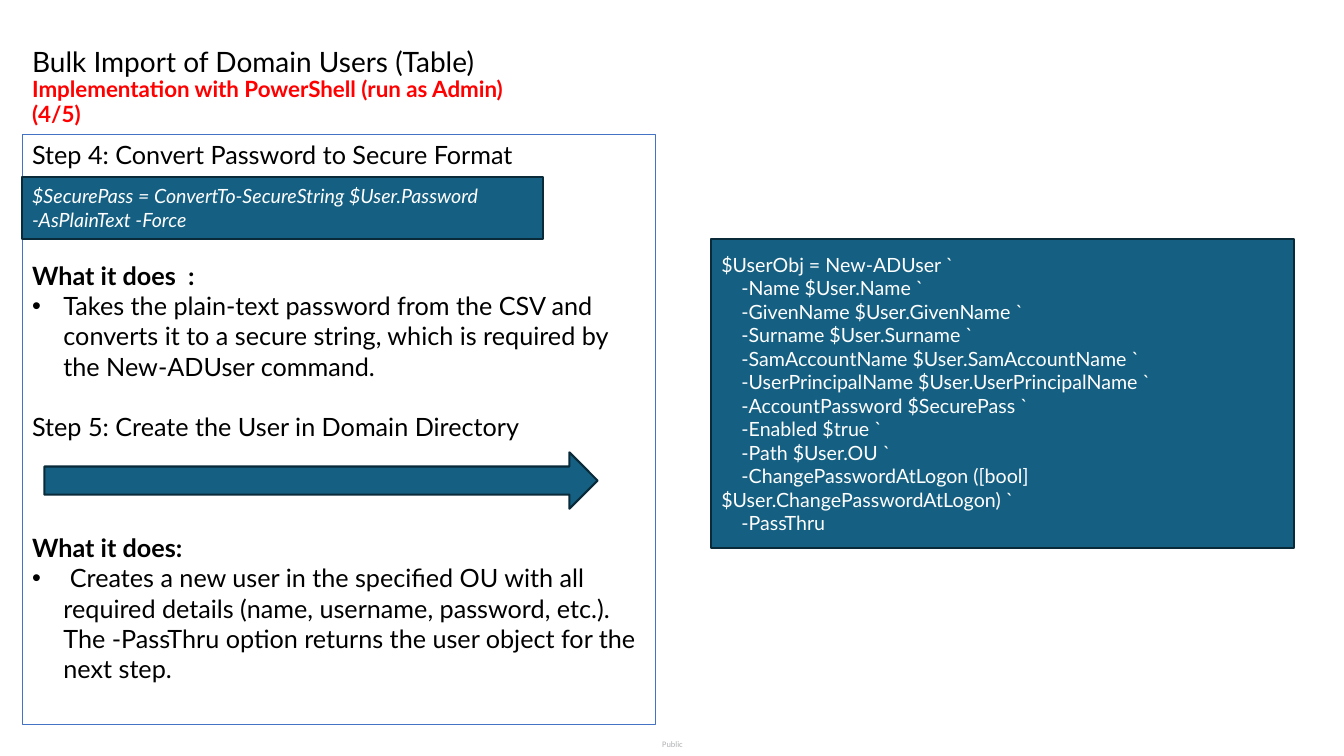
from dataclasses import dataclass

from lxml.etree import SubElement
from pptx import Presentation
from pptx.dml.color import RGBColor
from pptx.enum.shapes import MSO_SHAPE as Preset
from pptx.enum.text import MSO_ANCHOR as Anchor, PP_ALIGN as Align
from pptx.oxml.ns import qn
from pptx.util import Cm, Pt

BLACK, WHITE, RED = "000000", "FFFFFF", "FF0000"
TEAL, DARK_TEAL, BLUE, GREY = "156082", "092A39", "4472C4", "626469"
BODY_LINE = 21.6  # height of one 18 pt text line, in points


@dataclass(frozen=True)
class Line:
    text: str
    size: float = 18
    color: str = BLACK
    bold: bool = False
    italic: bool = False
    font: str = "Lato"
    bullet: bool = False
    gap_lines: int = 0
    spacing: float = 1.0


@dataclass(frozen=True)
class Box:
    left: float
    top: float
    width: float
    height: float
    lines: tuple[Line, ...] = ()
    preset: Preset | None = None
    fill: str | None = None
    outline: str = DARK_TEAL
    outline_width: float = 1.5
    anchor: Anchor = Anchor.MIDDLE
    margins: tuple[float, float] = (0.25, 0.13)


def rgb(color: str) -> RGBColor:
    return RGBColor.from_string(color)


def add_bullet(paragraph) -> None:
    properties = paragraph._p.get_or_add_pPr()
    properties.set("marL", str(Cm(0.79)))
    properties.set("indent", str(-Cm(0.79)))
    SubElement(properties, qn("a:buFont"), typeface="Arial")
    SubElement(properties, qn("a:buChar"), char="•")


def write_lines(frame, lines: tuple[Line, ...]) -> None:
    for index, line in enumerate(lines):
        paragraph = frame.add_paragraph() if index else frame.paragraphs[0]
        paragraph.alignment = Align.LEFT
        paragraph.line_spacing = line.spacing
        if line.gap_lines:
            paragraph.space_before = Pt(line.gap_lines * BODY_LINE)
        if line.bullet:
            add_bullet(paragraph)
        run = paragraph.add_run()
        run.text = line.text
        font = run.font
        font.name, font.size = line.font, Pt(line.size)
        font.bold, font.italic = line.bold, line.italic
        font.color.rgb = rgb(line.color)


def draw(slide, box: Box):
    place = [Cm(n) for n in (box.left, box.top, box.width, box.height)]
    if box.preset is None:
        shape = slide.shapes.add_textbox(*place)
    else:
        shape = slide.shapes.add_shape(box.preset, *place)
        shape.shadow.inherit = False
        if box.fill:
            shape.fill.solid()
            shape.fill.fore_color.rgb = rgb(box.fill)
        else:
            shape.fill.background()
        shape.line.color.rgb = rgb(box.outline)
        shape.line.width = Pt(box.outline_width)
    frame = shape.text_frame
    frame.word_wrap = True
    frame.vertical_anchor = box.anchor
    side, end = (Cm(n) for n in box.margins)
    frame.margin_left = frame.margin_right = side
    frame.margin_top = frame.margin_bottom = end
    write_lines(frame, box.lines)
    return shape


# Wording
TITLE = (
    Line("Bulk Import of Domain Users (Table)", 20, spacing=0.9),
    Line("Implementation with PowerShell (run as Admin) (4/5)", 16, RED,
         bold=True, spacing=0.9),
)
STEPS = (
    Line("Step 4: Convert Password to Secure Format"),
    Line("What it does  :", bold=True, gap_lines=3),
    Line("Takes the plain-text password from the CSV and converts it to a "
         "secure string, which is required by the New-ADUser command.",
         bullet=True),
    Line("Step 5: Create the User in Domain Directory", gap_lines=1),
    Line("What it does:", bold=True, gap_lines=3),
    Line(" Creates a new user in the specified OU with all required details "
         "(name, username, password, etc.). The -PassThru option returns the "
         "user object for the next step.", bullet=True),
)
SECURE_PASS = (
    Line("$SecurePass = ConvertTo-SecureString $User.Password "
         "-AsPlainText -Force", 14, WHITE, italic=True),
)
NEW_USER_CODE = """$UserObj = New-ADUser `
    -Name $User.Name `
    -GivenName $User.GivenName `
    -Surname $User.Surname `
    -SamAccountName $User.SamAccountName `
    -UserPrincipalName $User.UserPrincipalName `
    -AccountPassword $SecurePass `
    -Enabled $true `
    -Path $User.OU `
    -ChangePasswordAtLogon ([bool]$User.ChangePasswordAtLogon) `
    -PassThru"""
NEW_USER = tuple(Line(code, 14, WHITE) for code in NEW_USER_CODE.split("\n"))

# Boxes from back to front
BOXES = (
    Box(0.56, 0.79, 12.6, 2.84, TITLE),
    Box(0.56, 3.38, 15.95, 14.88, STEPS, Preset.RECTANGLE, outline=BLUE,
        outline_width=0.75, anchor=Anchor.TOP),
    Box(0.56, 4.45, 13.13, 1.57, SECURE_PASS, Preset.RECTANGLE, TEAL),
    Box(17.93, 6.02, 14.68, 7.8, NEW_USER, Preset.RECTANGLE, TEAL),
    Box(1.12, 11.4, 13.94, 1.42, preset=Preset.RIGHT_ARROW, fill=TEAL),
)
LABEL = Box(16.69, 18.62, 0.56, 0.25, (Line("Public", 6, GREY, font="Calibri"),),
            anchor=Anchor.TOP, margins=(0, 0))


def main() -> None:
    deck = Presentation()
    deck.slide_width, deck.slide_height = Cm(33.87), Cm(19.05)
    slide = deck.slides.add_slide(deck.slide_layouts[6])

    # Half-transparent classification label
    label = draw(slide, LABEL)
    label.text_frame.word_wrap = False
    for color in label._element.iter(qn("a:srgbClr")):
        SubElement(color, qn("a:alpha"), val="50000")

    for box in BOXES:
        draw(slide, box)
    deck.save("out.pptx")


if __name__ == "__main__":
    main()
